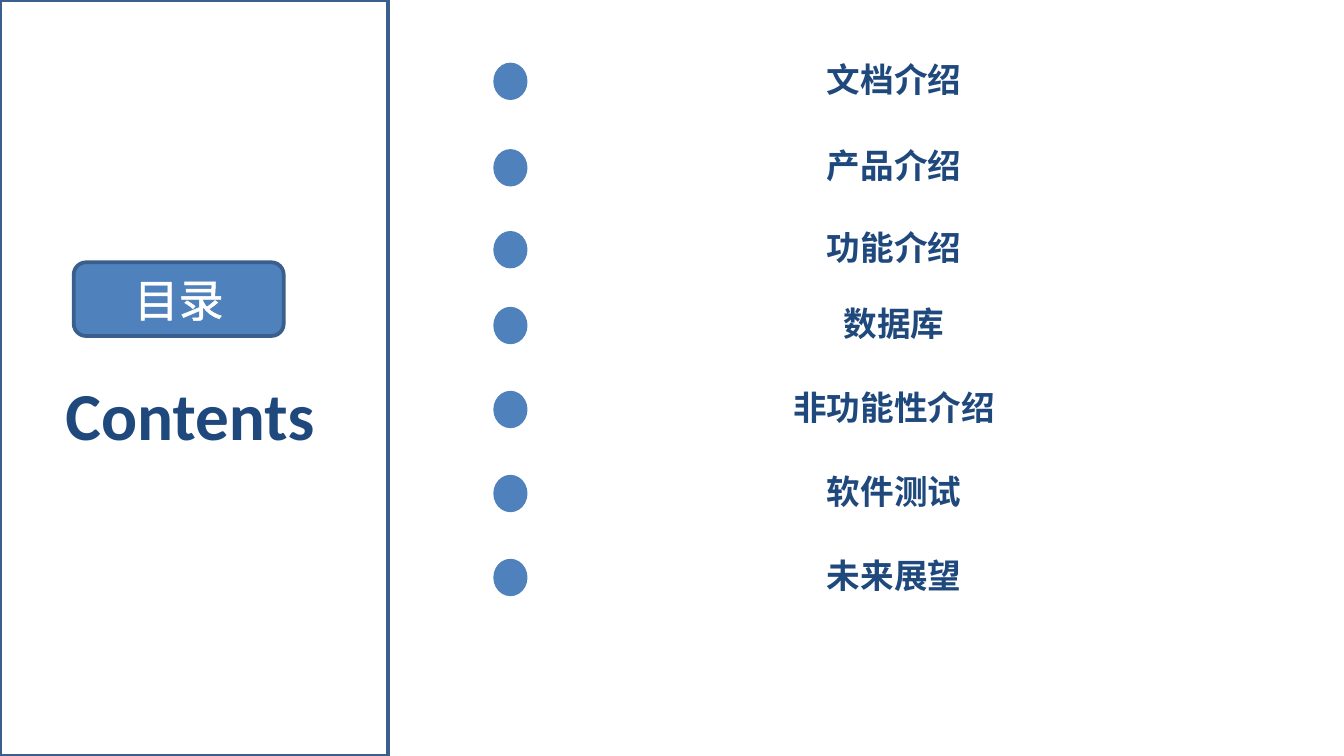
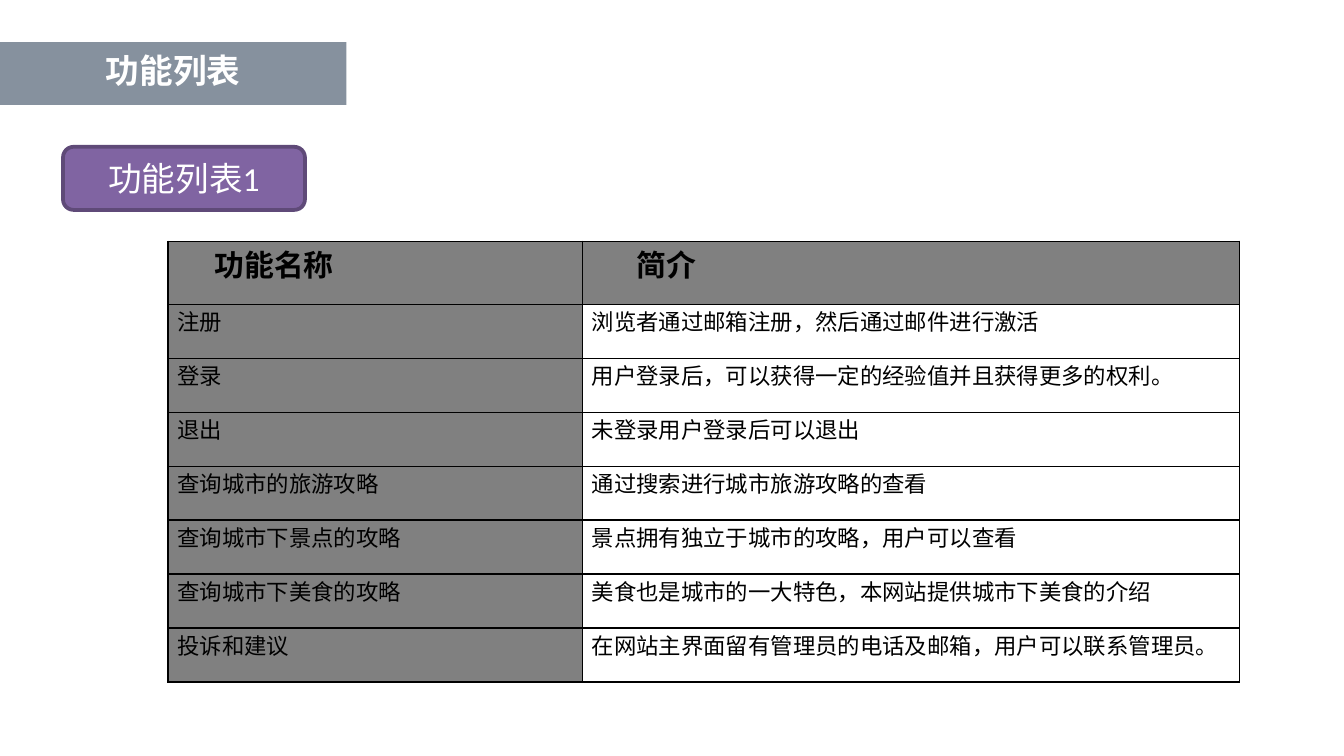
"""Build the contents slide and the feature list slide."""
from lxml import etree
from pptx import Presentation
from pptx.dml.color import RGBColor
from pptx.enum import shapes, text
from pptx.oxml import ns
from pptx.util import Pt

COLORS = {
    "white": "FFFFFF", "black": "000000", "blue": "4F81BD", "blue_line": "3A5F8C",
    "navy": "1F497D", "banner": "0F243E", "purple": "8064A2",
    "purple_line": "5F4A78", "gray": "808080",
}
HEADING = {"name": "Calibri", "size": Pt(18), "bold": True}
KINDS = shapes.MSO_SHAPE


def write(frame, words, color, formats, align, spacing=None):
    """Put one formatted line into a text frame and return its span."""
    para = frame.paragraphs[0]
    para.alignment = align
    if spacing:
        para.line_spacing = spacing
    span = para.add_run()
    span.text = words
    for name, value in formats.items():
        setattr(span.font, name, value)
    span.font.color.rgb = RGBColor.from_string(COLORS[color])
    return span


def add_block(page, kind, place, fill, opacity=100, line=None):
    """Add a flat filled shape with an optional two-point outline."""
    box = page.shapes.add_shape(kind, *map(Pt, place))
    box.shadow.inherit = False
    box.fill.solid()
    box.fill.fore_color.rgb = RGBColor.from_string(COLORS[fill])
    if opacity < 100:
        color = box.fill._xPr.find(ns.qn("a:solidFill"))[0]
        etree.SubElement(color, ns.qn("a:alpha"), val=str(opacity * 1000))
    if line:
        box.line.color.rgb = RGBColor.from_string(COLORS[line])
        box.line.width = Pt(2)
    else:
        box.line.fill.background()
    box.text_frame.vertical_anchor = text.MSO_ANCHOR.MIDDLE
    return box


deck = Presentation()
deck.slide_width, deck.slide_height = Pt(720), Pt(405)
blank = deck.slide_layouts[6]
CENTER = text.PP_ALIGN.CENTER

page = deck.slides.add_slide(blank)
add_block(page, KINDS.RECTANGLE, (0, 0, 208, 405), "white", 37, "blue_line")
badge = add_block(page, KINDS.ROUNDED_RECTANGLE, (39.5, 140.5, 112.5, 39.5), "blue", line="blue_line")
span = write(badge.text_frame, "目录", "white", {"name": "Arial", "size": Pt(24)}, CENTER)
outline = etree.Element(ns.qn("a:ln"), w=str(Pt(1.45)))
outline_fill = etree.SubElement(outline, ns.qn("a:solidFill"))
etree.SubElement(outline_fill, ns.qn("a:srgbClr"), val=COLORS["white"])
span.font._element.insert(0, outline)

title = page.shapes.add_textbox(Pt(28), Pt(196.6), Pt(149), Pt(51)).text_frame
title.word_wrap = False
title.auto_size = text.MSO_AUTO_SIZE.SHAPE_TO_FIT_TEXT
write(title, "Contents", "navy", HEADING | {"size": Pt(36)}, text.PP_ALIGN.LEFT)

chapters = [
    ("文档介绍", 28), ("产品介绍", 74.3), ("功能介绍", 118.2), ("数据库", 158.8),
    ("非功能性介绍", 203.8), ("软件测试", 248.8), ("未来展望", 293.8),
]
for words, top in chapters:
    add_block(page, KINDS.OVAL, (264.3, top + 5.6, 18.3, 20), "blue")
    label = add_block(page, KINDS.RECTANGLE, (306.5, top, 345, 32.4), "white", 50)
    write(label.text_frame, words, "navy", HEADING, CENTER, 0.8)

page = deck.slides.add_slide(blank)
banner = add_block(page, KINDS.RECTANGLE, (0, 22.5, 185.6, 33.7), "banner", 50)
write(banner.text_frame, "功能列表", "white", HEADING, CENTER, 0.8)
badge = add_block(page, KINDS.ROUNDED_RECTANGLE, (33.8, 78.7, 129.6, 33.8), "purple", line="purple_line")
write(badge.text_frame, "功能列表1", "white", HEADING | {"bold": False}, CENTER)

features = [
    ("功能名称", "简介"),
    ("注册", "浏览者通过邮箱注册，然后通过邮件进行激活"),
    ("登录", "用户登录后，可以获得一定的经验值并且获得更多的权利。"),
    ("退出", "未登录用户登录后可以退出"),
    ("查询城市的旅游攻略", "通过搜索进行城市旅游攻略的查看"),
    ("查询城市下景点的攻略", "景点拥有独立于城市的攻略，用户可以查看"),
    ("查询城市下美食的攻略", "美食也是城市的一大特色，本网站提供城市下美食的介绍"),
    ("投诉和建议", "在网站主界面留有管理员的电话及邮箱，用户可以联系管理员。"),
]
header_indents = (20, 24)
table = page.shapes.add_table(len(features), 2, Pt(90), Pt(129.4), Pt(574), Pt(236.1)).table
table.first_row = table.horz_banding = False
for column, width in zip(table.columns, (222, 352)):
    column.width = Pt(width)
for r, row in enumerate(features):
    header = r == 0
    table.rows[r].height = Pt(33.8 if header else 28.9)
    formats = {"name": "Times New Roman", "size": Pt(16 if header else 12), "bold": header}
    for c, words in enumerate(row):
        cell = table.cell(r, c)
        cell.margin_left = cell.margin_right = Pt(5)
        cell.margin_top = cell.margin_bottom = 0
        write(cell.text_frame, words, "black", formats, text.PP_ALIGN.JUSTIFY)
        if header:
            para = cell.text_frame.paragraphs[0]
            para._p.get_or_add_pPr().set("marL", str(Pt(header_indents[c])))
        properties = cell._tc.get_or_add_tcPr()
        for side in ("lnL", "lnR", "lnT", "lnB"):
            border = etree.SubElement(properties, ns.qn(f"a:{side}"), w=str(Pt(1)))
            border_fill = etree.SubElement(border, ns.qn("a:solidFill"))
            etree.SubElement(border_fill, ns.qn("a:srgbClr"), val=COLORS["black"])
        if header or c == 0:
            cell.fill.solid()
            cell.fill.fore_color.rgb = RGBColor.from_string(COLORS["gray"])
        else:
            cell.fill.background()

deck.save("out.pptx")
